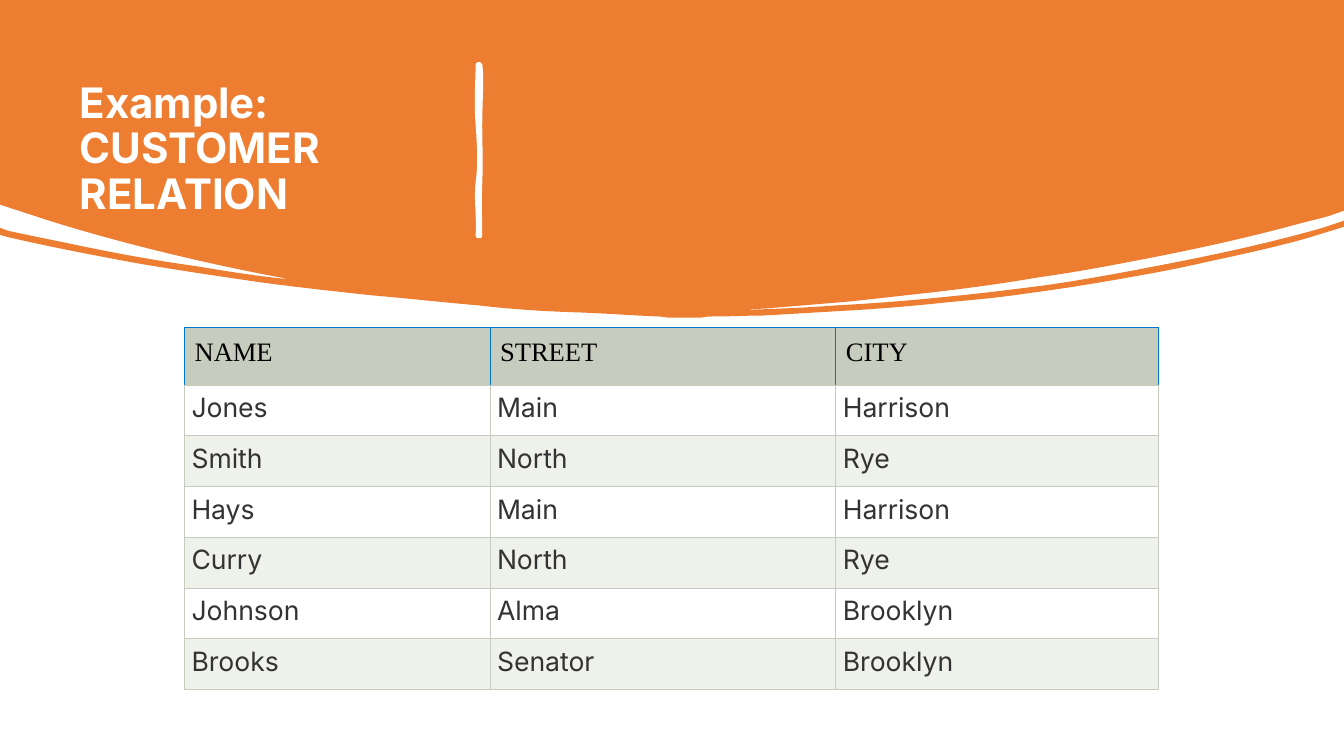
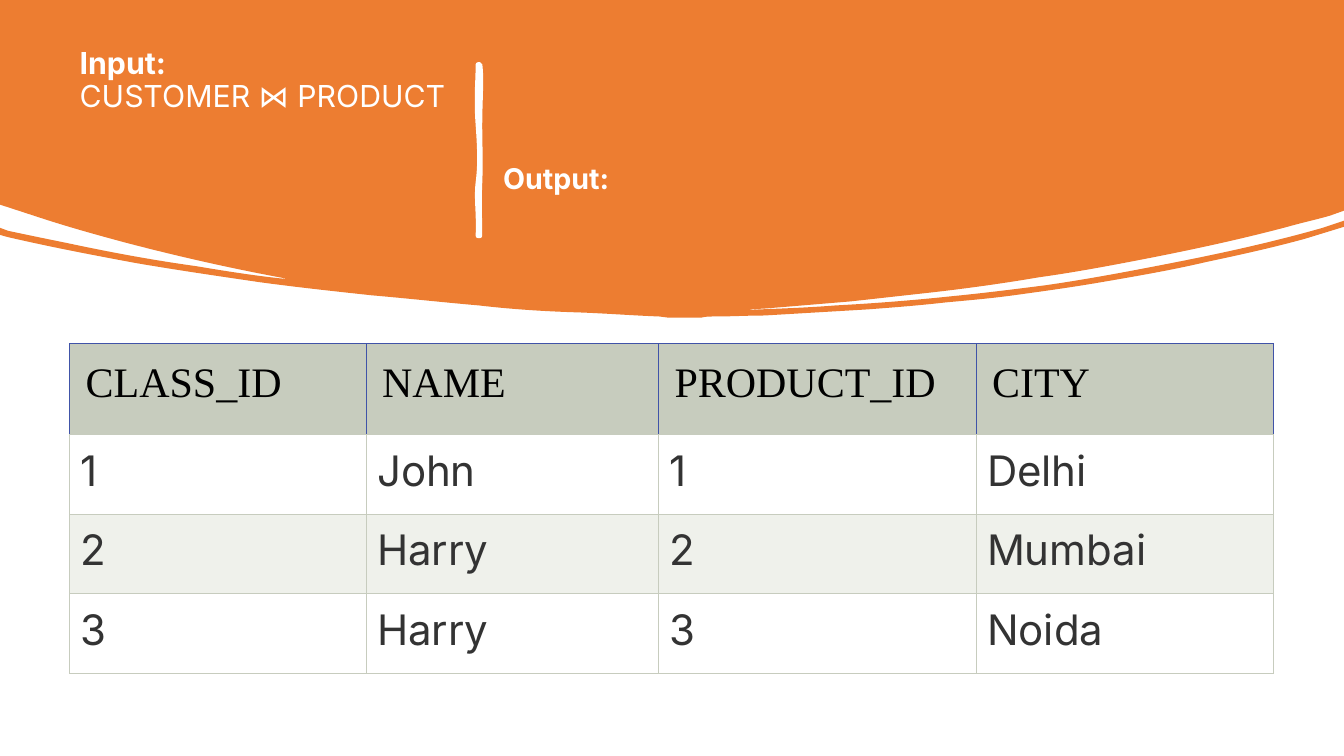
import pptx
import pptx.dml.color
import pptx.enum.text
import pptx.oxml
import pptx.oxml.ns
import pptx.util

PX = 9144  # EMU in one px, 100 px to the inch
SANS, SERIF = "Inter", "Times New Roman"
ORANGE, WHITE, BLACK, INK = "ED7D31", "FFFFFF", "000000", "333333"
SAGE, PALE = "C7CCBE", "EFF1EB"
ALIGN = pptx.enum.text.PP_ALIGN
ANCHOR = pptx.enum.text.MSO_ANCHOR
NS = pptx.oxml.ns.nsdecls("a")

# Two numbers draw a line to that point, six a Bézier curve.
WAVE = [
    (0, 0), (1333, 0), (1333, 209), (1319, 214),
    (1305, 218, 1291, 221, 1277, 225), (1232, 237, 1186, 247, 1140, 256),
    (1104, 263, 1067, 270, 1031, 275), (996, 281, 960, 286, 925, 290),
    (898, 293, 871, 296, 844, 299), (760, 306), (743, 307),
    (745, 308, 749, 307, 753, 307), (778, 306, 804, 305, 829, 303),
    (867, 301, 905, 298, 943, 294), (974, 291, 1006, 287, 1037, 283),
    (1079, 277, 1121, 269, 1162, 261), (1213, 251, 1263, 240, 1312, 226),
    (1333, 219), (1333, 225), (1294, 237),
    (1261, 246, 1229, 253, 1196, 260), (1162, 268, 1127, 274, 1092, 280),
    (1063, 285, 1034, 289, 1005, 293), (983, 296, 960, 298, 938, 300),
    (912, 303, 886, 305, 860, 307), (826, 309, 792, 311, 758, 313),
    (742, 313, 725, 314, 708, 314), (704, 314, 700, 314, 696, 315),
    (662, 315), (654, 314),
    (628, 313, 602, 311, 576, 310), (542, 309, 509, 307, 475, 303),
    (440, 300, 404, 296, 369, 293), (332, 289, 295, 285, 258, 280),
    (217, 274, 176, 268, 135, 261), (92, 253, 50, 245, 7, 235),
    (0, 233), (0, 226), (8, 229),
    (27, 233, 46, 237, 66, 241), (108, 250, 151, 258, 194, 264),
    (224, 269, 255, 274, 286, 277), (285, 278, 284, 276, 282, 276),
    (228, 266, 175, 254, 122, 240), (96, 233, 71, 226, 46, 218), (0, 203),
]
STROKE = [
    (476, 64), (478, 76, 476, 102, 476, 124),
    (476, 146, 477, 158, 476, 182), (475, 207, 476, 213, 476, 234),
    (474, 234), (475, 210, 472, 197, 474, 181),
    (476, 165, 476, 152, 474, 124), (472, 97, 474, 81, 474, 64),
]


def hue(code):
    return pptx.dml.color.RGBColor.from_string(code)


def dress(part, **vals):
    for key, val in vals.items():
        setattr(part, key, val)


def style(font, size, code, name=SANS, bold=False):
    dress(font, size=pptx.util.Pt(size), name=name, bold=bold)
    font.color.rgb = hue(code)


def place(part, box):
    dress(part, **dict(zip(("left", "top", "width", "height"),
                           (n * PX for n in box))))


def bend(shape, segs):
    """Turn the straight segments that stand for curves into curves."""
    left, top = (min(seg[i] for seg in segs) for i in (-2, -1))
    lines = list(shape._element.iter(pptx.oxml.ns.qn("a:lnTo")))
    for line, seg in zip(lines, segs[1:]):
        if len(seg) == 6:
            pts = "".join(f'<a:pt x="{x - left}" y="{y - top}"/>'
                          for x, y in zip(seg[::2], seg[1::2]))
            curve = pptx.oxml.parse_xml(
                f'<a:cubicBezTo {NS}>{pts}</a:cubicBezTo>')
            line.getparent().replace(line, curve)


def outline(slide, segs, code, line=None):
    ends = [seg[-2:] for seg in segs]
    pen = slide.shapes.build_freeform(*ends[0], scale=PX)
    pen.add_line_segments(ends[1:], close=True)
    shape = pen.convert_to_shape()
    bend(shape, segs)
    shape.shadow.inherit = False
    shape.fill.solid()
    shape.fill.fore_color.rgb = hue(code)
    if line:
        shape.line.color.rgb = hue(code)
        shape.line.width = pptx.util.Pt(line)
    else:
        shape.line.fill.background()


def label(slide, holder, box, runs, size, anchor, space):
    """Fill a placeholder with one paragraph; each run is (text, bold)."""
    slide.shapes._spTree.append(holder._element)  # in front of the band
    place(holder, box)
    frame = holder.text_frame
    dress(frame, word_wrap=True, vertical_anchor=anchor,
          auto_size=pptx.enum.text.MSO_AUTO_SIZE.NONE)
    para = frame.paragraphs[0]
    props = para._p.get_or_add_pPr()
    props.set("marL", "0")
    props.set("indent", "0")
    props.append(pptx.oxml.parse_xml(f"<a:buNone {NS}/>"))
    dress(para, alignment=ALIGN.LEFT, line_spacing=space,
          space_before=pptx.util.Pt(0))
    for i, (text, bold) in enumerate(runs):
        if i:
            para.add_line_break()
        run = para.add_run()
        run.text = text
        style(run.font, size, WHITE, bold=bold)


def border(cell, sides):
    props = cell._tc.get_or_add_tcPr()
    for side, code in zip("LRTB", sides):
        props.append(pptx.oxml.parse_xml(
            f'<a:ln{side} {NS} w="7620"><a:solidFill>'
            f'<a:srgbClr val="{code}"/></a:solidFill></a:ln{side}>'))


def grid(slide, box, cols, head, rows, size, pads, edge):
    """Draw a table; pads holds the cell margins of header and body."""
    table = slide.shapes.add_table(
        len(rows), len(cols), *(n * PX for n in box)).table
    for col, wide in zip(table.columns, cols):
        col.width = wide * PX
    body = (box[3] - head) * PX // (len(rows) - 1)
    for r, row in enumerate(rows):
        top = r == 0
        table.rows[r].height = head * PX if top else body
        for c, text in enumerate(row):
            cell = table.cell(r, c)
            pad = pads[0 if top else 1] * PX
            dress(cell, text=text, margin_left=pad, margin_right=pad,
                  margin_top=pad, margin_bottom=pad,
                  vertical_anchor=ANCHOR.TOP)
            border(cell, [edge if top else SAGE] * 3 + [SAGE])
            cell.fill.solid()
            cell.fill.fore_color.rgb = hue(
                SAGE if top else WHITE if r % 2 else PALE)
            para = cell.text_frame.paragraphs[0]
            para.alignment = ALIGN.LEFT if top else ALIGN.JUSTIFY
            style(para.runs[0].font, size, BLACK if top else INK,
                  SERIF if top else SANS)


def begin(deck, layout):
    slide = deck.slides.add_slide(deck.slide_layouts[layout])
    outline(slide, WAVE, ORANGE)
    outline(slide, STROKE, WHITE, 3.25)
    return slide


def customer(deck):
    slide = begin(deck, 5)
    label(slide, slide.shapes.title, (69, 69, 394, 160),
          [("Example: CUSTOMER RELATION", True)], 30, ANCHOR.MIDDLE, 0.9)
    rows = [("NAME", "STREET", "CITY"), ("Jones", "Main", "Harrison"),
            ("Smith", "North", "Rye"), ("Hays", "Main", "Harrison"),
            ("Curry", "North", "Rye"), ("Johnson", "Alma", "Brooklyn"),
            ("Brooks", "Senator", "Brooklyn")]
    grid(slide, (183, 325, 966, 359), (303, 343, 320), 57, rows, 19,
         (10, 7), "0077C6")


def product(deck):
    slide = begin(deck, 1)
    label(slide, slide.shapes.title, (69, 43, 394, 80),
          [("Input:", True), ("CUSTOMER ⋈ PRODUCT", False)], 21.6,
          ANCHOR.TOP, 0.9)
    label(slide, slide.placeholders[1], (489, 161, 774, 67),
          [("Output:", True)], 20.4, ANCHOR.TOP, 0.8)
    rows = [("CLASS_ID", "NAME", "PRODUCT_ID", "CITY"),
            ("1", "John", "1", "Delhi"), ("2", "Harry", "2", "Mumbai"),
            ("3", "Harry", "3", "Noida")]
    grid(slide, (69, 341, 1194, 327), (294, 290, 315, 295), 90, rows, 30,
         (16, 11), "4053A8")


def main():
    deck = pptx.Presentation()
    dress(deck, slide_width=1333 * PX, slide_height=750 * PX)
    customer(deck)
    product(deck)
    deck.save("out.pptx")


if __name__ == "__main__":
    main()
